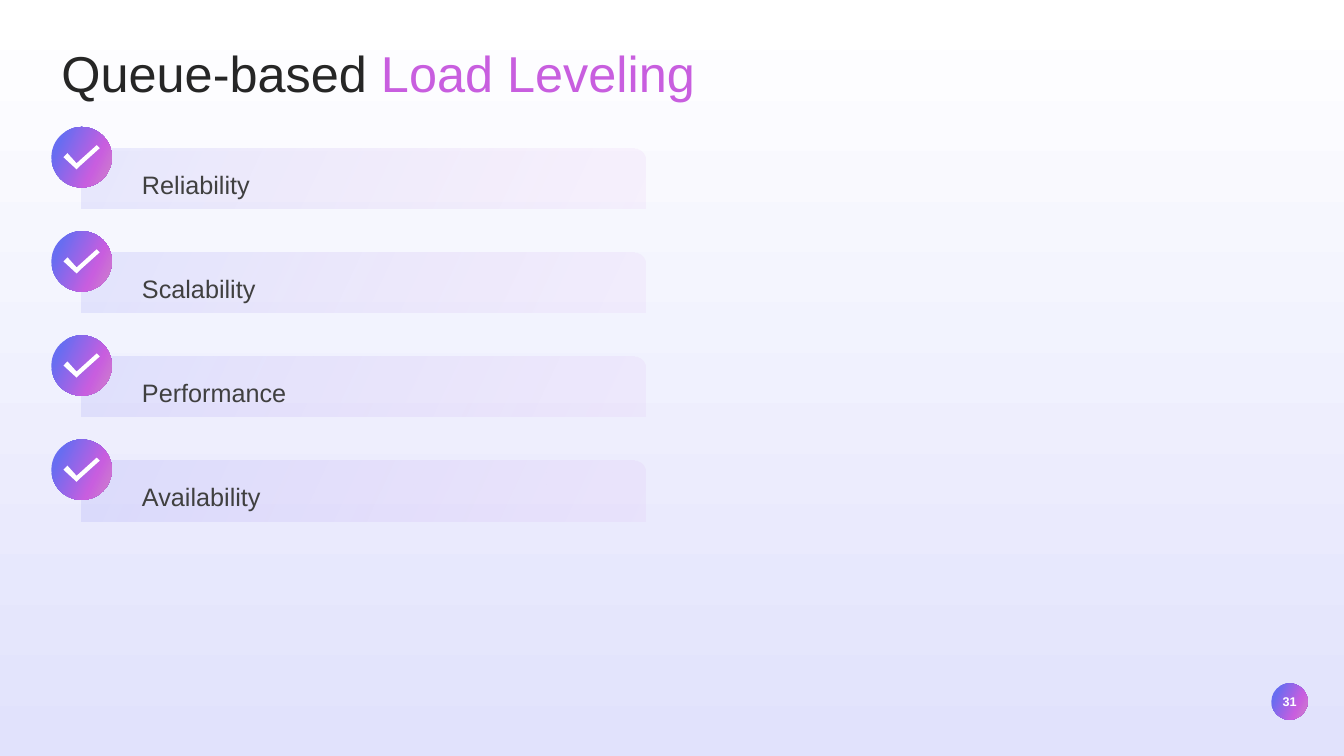
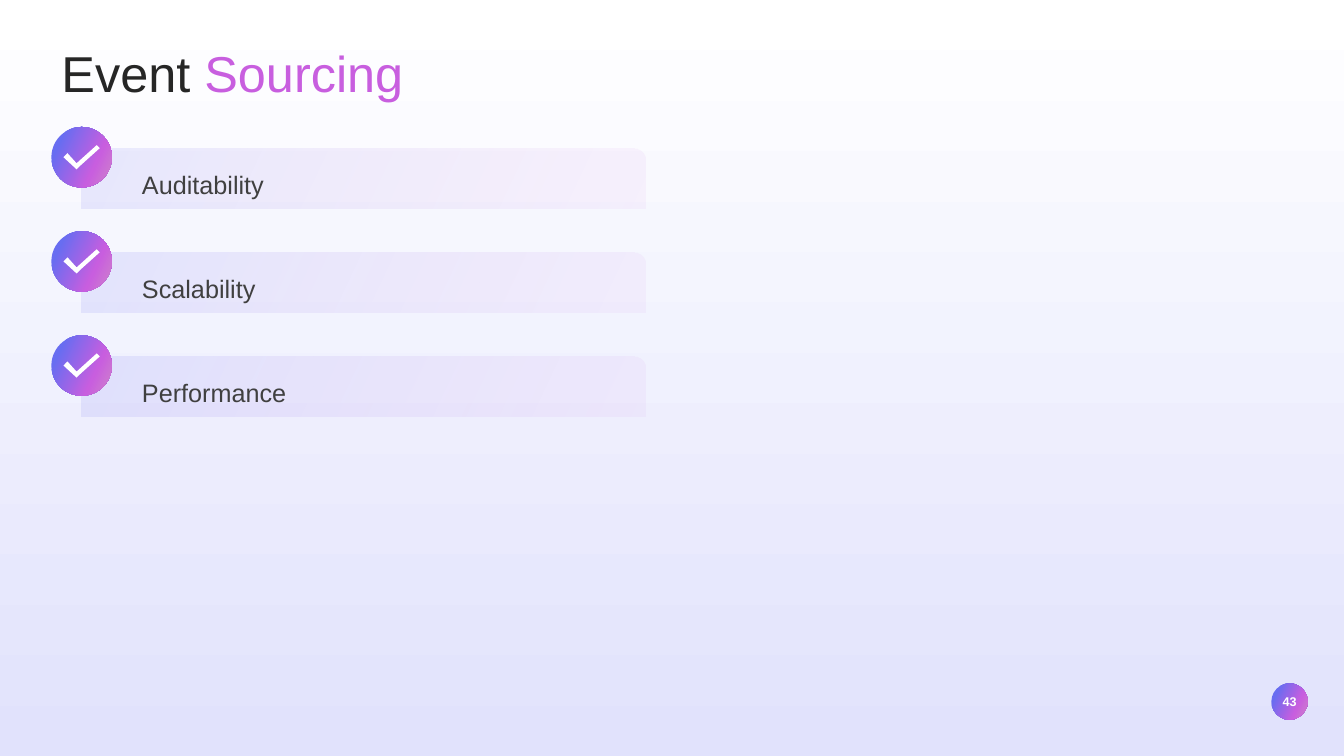
from lxml import etree
from pptx import Presentation
from pptx.dml.color import RGBColor
from pptx.enum.shapes import MSO_SHAPE
from pptx.enum.text import MSO_ANCHOR, MSO_AUTO_SIZE, PP_ALIGN
from pptx.oxml.ns import qn
from pptx.util import Inches, Pt

# Content
SLIDES = [
    {"number": 31, "title": ("Queue-based ", "Load Leveling"),
     "benefits": ["Reliability", "Scalability", "Performance", "Availability"]},
    {"number": 43, "title": ("Event ", "Sourcing"),
     "benefits": ["Auditability", "Scalability", "Performance"]},
]

# Shared style
FONT = "Arial"
C = {"white": "FFFFFF", "lavender": "E1E2FC", "title": "262626", "text": "404040",
     "blue": "686DF1", "deep": "1921EA", "violet": "C85EDF", "pink": "CE84CA"}
# Gradient stops: position %, colour, opacity %
PAGE = [(0, "white", 100), (100, "lavender", 100)]
DISC = [(17, "blue", 100), (69, "violet", 100), (100, "pink", 100)]
ACCENT = [(17, "deep", 100)] + DISC[1:]
BAR = [(0, "blue", 13), (100, "violet", 6)]
TILT = 25

# Grid in inches
LEFT, TOP, PITCH = 0.51, 1.26, 3.1 / 3
DISC_SIZE, BAR_W = 0.6, 5.59
BAR_DX, BAR_DY = 0.3, 0.21
LABEL_DX, LABEL_DY, LABEL_W, LABEL_H = 0.8, 0.28, 4.98, 0.47
# Check mark outline, measured from the disc's corner
CHECK = [(0.45, 0.18), (0.25, 0.36), (0.16, 0.26), (0.12, 0.3),
         (0.25, 0.42), (0.28, 0.39), (0.48, 0.21)]


def rgb(name):
    return RGBColor.from_string(C[name])


def box(x, y, w, h):
    return [Inches(v) for v in (x, y, w, h)]


def gradient(fill, element, stops, angle):
    """Fill with any number of stops; angle runs clockwise."""
    fill.gradient()
    fill.gradient_angle = 360 - angle
    stop_list = next(element.iter(qn("a:gsLst")))
    for old in list(stop_list):
        stop_list.remove(old)
    for pos, name, opacity in stops:
        gs = etree.SubElement(stop_list, qn("a:gs"), pos=str(pos * 1000))
        clr = etree.SubElement(gs, qn("a:srgbClr"), val=C[name])
        if opacity < 100:
            etree.SubElement(clr, qn("a:alpha"), val=str(opacity * 1000))


def plain(sp):
    sp.shadow.inherit = False
    sp.line.fill.background()
    return sp


def add_tinted(shapes, kind, place, stops):
    sp = plain(shapes.add_shape(kind, *box(*place)))
    gradient(sp.fill, sp.element, stops, TILT)
    return sp


def style(r, size, color, bold=False):
    r.font.name, r.font.size, r.font.bold = FONT, Pt(size), bold
    r.font.color.rgb = rgb(color)


def add_label(s, place, text, size, color, bold=False):
    tf = s.shapes.add_textbox(*box(*place)).text_frame
    tf.word_wrap = True
    tf.auto_size = MSO_AUTO_SIZE.SHAPE_TO_FIT_TEXT
    tf.text = text
    p = tf.paragraphs[0]
    style(p.runs[0], size, color, bold)
    return tf, p


def add_title(s, lead, accent):
    sp = s.shapes.title
    sp.left, sp.top, sp.width, sp.height = box(LEFT, 0.37, 6.84, 0.71)
    tf = sp.text_frame
    tf.word_wrap = True
    tf.auto_size = MSO_AUTO_SIZE.SHAPE_TO_FIT_TEXT
    tf.vertical_anchor = MSO_ANCHOR.TOP
    p = tf.paragraphs[0]
    p.alignment = PP_ALIGN.LEFT
    for text in (lead, accent):
        r = p.add_run()
        r.text = text
        style(r, 36, "title")
    gradient(r.font.fill, r._r, ACCENT, TILT)


def add_page_badge(s, number):
    add_tinted(s.shapes, MSO_SHAPE.OVAL, (12.61, 6.78, 0.36, 0.36), DISC)
    tf, p = add_label(s, (12.56, 6.83, 0.46, 0.25), str(number), 9, "white", True)
    tf.vertical_anchor = MSO_ANCHOR.MIDDLE
    p.alignment = PP_ALIGN.CENTER


def add_check(s, x, y):
    shapes = s.shapes.add_group_shape().shapes
    add_tinted(shapes, MSO_SHAPE.OVAL, (x, y, DISC_SIZE, DISC_SIZE), DISC)
    points = [(Inches(x + dx), Inches(y + dy)) for dx, dy in CHECK]
    outline = shapes.build_freeform(*points[0])
    outline.add_line_segments(points[1:], close=True)
    sp = plain(outline.convert_to_shape())
    sp.fill.solid()
    sp.fill.fore_color.rgb = rgb("white")


def add_benefit(s, row, text):
    y = TOP + row * PITCH
    bar = add_tinted(s.shapes, MSO_SHAPE.ROUND_2_SAME_RECTANGLE,
                     (LEFT + BAR_DX, y + BAR_DY, BAR_W, DISC_SIZE), BAR)
    bar.adjustments[0] = 0.19
    _, p = add_label(s, (LEFT + LABEL_DX, y + LABEL_DY, LABEL_W, LABEL_H),
                     text, 18, "text")
    p.line_spacing, p.space_after = 1.3, Pt(8)
    add_check(s, LEFT, y)


def main():
    prs = Presentation()
    prs.slide_width, prs.slide_height = Inches(13.33), Inches(7.5)
    master = prs.slide_master
    gradient(master.background.fill, master.element, PAGE, 90)
    for content in SLIDES:
        s = prs.slides.add_slide(prs.slide_layouts.get_by_name("Title Only"))
        add_page_badge(s, content["number"])
        add_title(s, *content["title"])
        for row, text in enumerate(content["benefits"]):
            add_benefit(s, row, text)
    prs.save("out.pptx")


if __name__ == "__main__":
    main()
